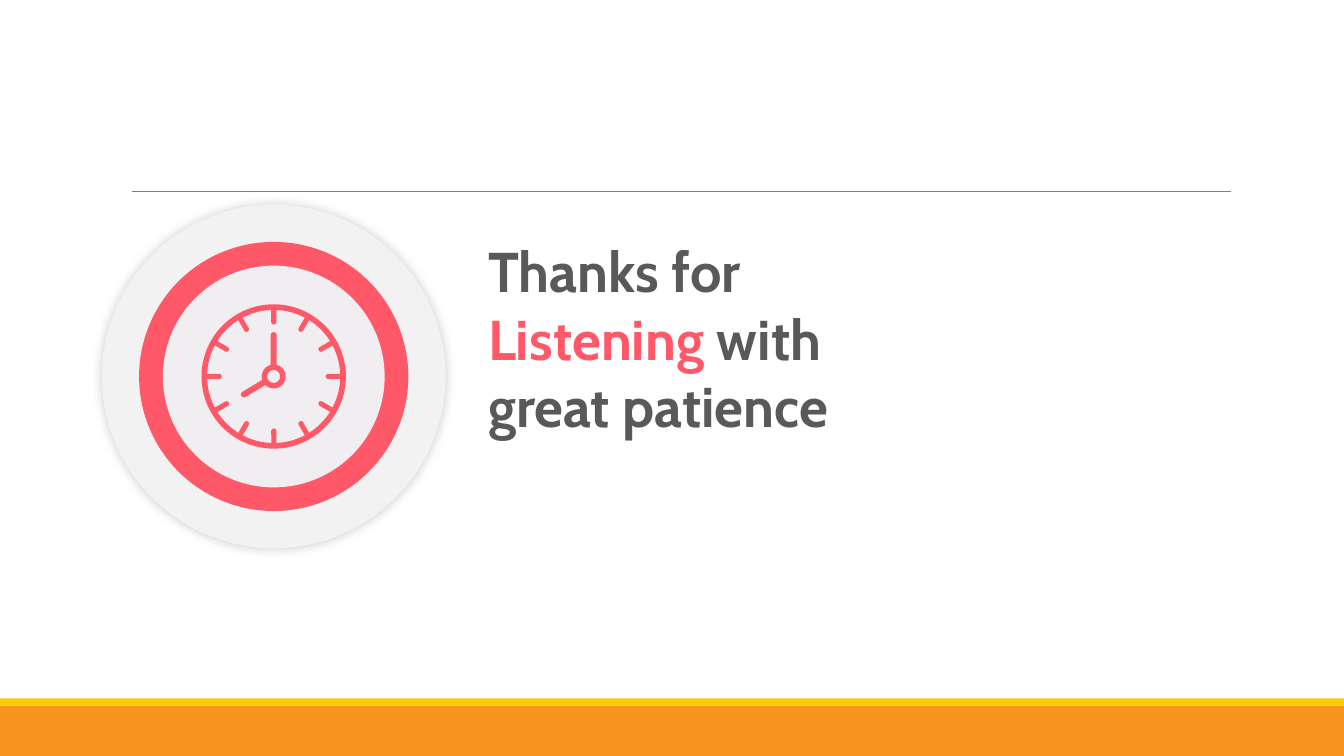
from math import cos, radians, sin

from lxml import etree
from pptx import Presentation
from pptx.dml.color import RGBColor
from pptx.enum.shapes import MSO_CONNECTOR, MSO_SHAPE
from pptx.enum.text import MSO_ANCHOR, MSO_AUTO_SIZE, PP_ALIGN
from pptx.oxml import parse_xml
from pptx.oxml.ns import nsdecls, qn
from pptx.util import Inches, Pt

RECTANGLE = MSO_SHAPE.RECTANGLE
OVAL = MSO_SHAPE.OVAL
DONUT = MSO_SHAPE.DONUT
ROUNDED = MSO_SHAPE.ROUNDED_RECTANGLE
ROUND_TOP = MSO_SHAPE.ROUND_2_SAME_RECTANGLE
STRAIGHT = MSO_CONNECTOR.STRAIGHT
TITLE_ONLY = 5

WIDTH, HEIGHT = 13.33, 7.5
ORANGE = RGBColor(0xF8, 0x93, 0x1D)
YELLOW = RGBColor(0xFF, 0xCA, 0x08)
GRAY = RGBColor(0x80, 0x80, 0x80)
DARK = RGBColor(0x59, 0x59, 0x59)
CORAL = RGBColor(0xFF, 0x59, 0x69)
PALE = RGBColor(0xF2, 0xF2, 0xF2)
LILAC = RGBColor(0xF0, 0xEE, 0xF0)


def add_plain_shape(slide, kind, box, color, adjustments=(), rotation=0):
    shape = slide.shapes.add_shape(kind, *map(Inches, box))
    shape.shadow.inherit = False
    shape.fill.solid()
    shape.fill.fore_color.rgb = color
    shape.line.fill.background()
    shape.rotation = rotation
    for index, value in enumerate(adjustments):
        shape.adjustments[index] = value
    return shape


def add_centered(slide, kind, center, size, color, adjustments=(), rotation=0):
    box = (center[0] - size[0] / 2, center[1] - size[1] / 2, *size)
    return add_plain_shape(slide, kind, box, color, adjustments, rotation)


def add_soft_shadow(shape):
    effects = shape._element.spPr.find(qn("a:effectLst"))
    effects.append(parse_xml(
        f'<a:outerShdw {nsdecls("a")} blurRad="{Pt(8)}" dist="0" dir="0">'
        '<a:srgbClr val="000000"><a:alpha val="20000"/></a:srgbClr>'
        '</a:outerShdw>'))


def add_frame(slide, box):
    left, top, width, height = box
    line_y = top + 0.2533 * height
    rule = slide.shapes.add_connector(
        STRAIGHT, Inches(left + 0.0983 * width), Inches(line_y),
        Inches(left + 0.916 * width), Inches(line_y))
    rule.line.color.rgb = GRAY
    rule.line.width = Pt(0.5)
    etree.SubElement(rule._element.spPr, qn("a:effectLst"))
    band, stripe = height / 15, 0.07
    bottom = top + height
    add_plain_shape(slide, RECTANGLE, (left, bottom - band, width, band), ORANGE)
    add_plain_shape(
        slide, RECTANGLE, (left, bottom - band - stripe, width, stripe), YELLOW)


def add_message(slide, box):
    title = slide.shapes.title
    title.left, title.top, title.width, title.height = map(Inches, box)
    frame = title.text_frame
    frame_format = {
        "word_wrap": True,
        "auto_size": MSO_AUTO_SIZE.SHAPE_TO_FIT_TEXT,
        "vertical_anchor": MSO_ANCHOR.TOP,
        "margin_left": Inches(0.1),
        "margin_right": Inches(0.1),
        "margin_top": Inches(0.05),
        "margin_bottom": Inches(0.05),
    }
    for name, value in frame_format.items():
        setattr(frame, name, value)
    paragraph = frame.paragraphs[0]
    paragraph.alignment = PP_ALIGN.LEFT
    font_format = {"name": "Cabin", "size": Pt(40), "bold": True}
    for text, color in (("Thanks for ", DARK), ("Listening ", CORAL),
                        ("with great patience", DARK)):
        run = paragraph.add_run()
        run.text = text
        for name, value in font_format.items():
            setattr(run.font, name, value)
        run.font.color.rgb = color


def add_clock(slide, box):
    left, top, size, _ = box
    center = (left + size / 2, top + size / 2)

    def add_spoke(kind, angle, radius, spoke_size, adjustments):
        turn = radians(angle)
        place = (center[0] + radius * sin(turn), center[1] - radius * cos(turn))
        add_centered(slide, kind, place, spoke_size, CORAL, adjustments, angle)

    discs = [add_centered(slide, OVAL, center, (share * size,) * 2, color)
             for share, color in ((1, PALE), (0.783, CORAL), (0.645, LILAC))]
    add_soft_shadow(discs[0])
    for hour in range(12):
        add_spoke(ROUNDED, 30 * hour, 0.176 * size, (0.05, 0.17), (0.5,))
    for share, thickness in ((0.42, 0.039), (0.07, 0.226)):
        add_centered(slide, DONUT, center, (share * size,) * 2, CORAL, (thickness,))
    for angle, radius, length in ((239, 0.23, 0.29), (0, 0.27, 0.34)):
        add_spoke(ROUND_TOP, angle, radius, (0.06, length), (0.5, 0))


def main():
    presentation = Presentation()
    presentation.slide_width = Inches(WIDTH)
    presentation.slide_height = Inches(HEIGHT)
    slide = presentation.slides.add_slide(presentation.slide_layouts[TITLE_ONLY])
    add_frame(slide, (0, 0, WIDTH, HEIGHT))
    add_message(slide, (4.74, 2.3, 4.75, 2.12))
    add_clock(slide, (1.01, 2.03, 3.41, 3.41))
    presentation.save("out.pptx")


if __name__ == "__main__":
    main()
